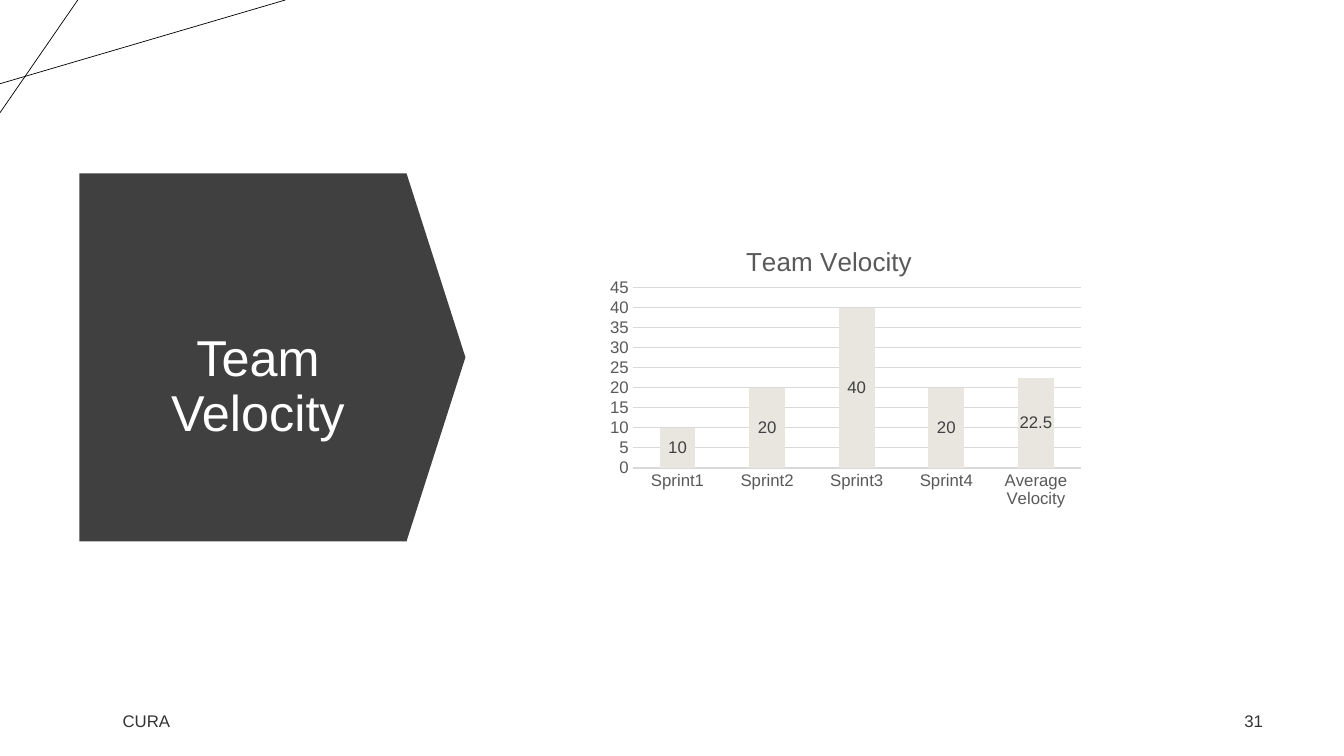
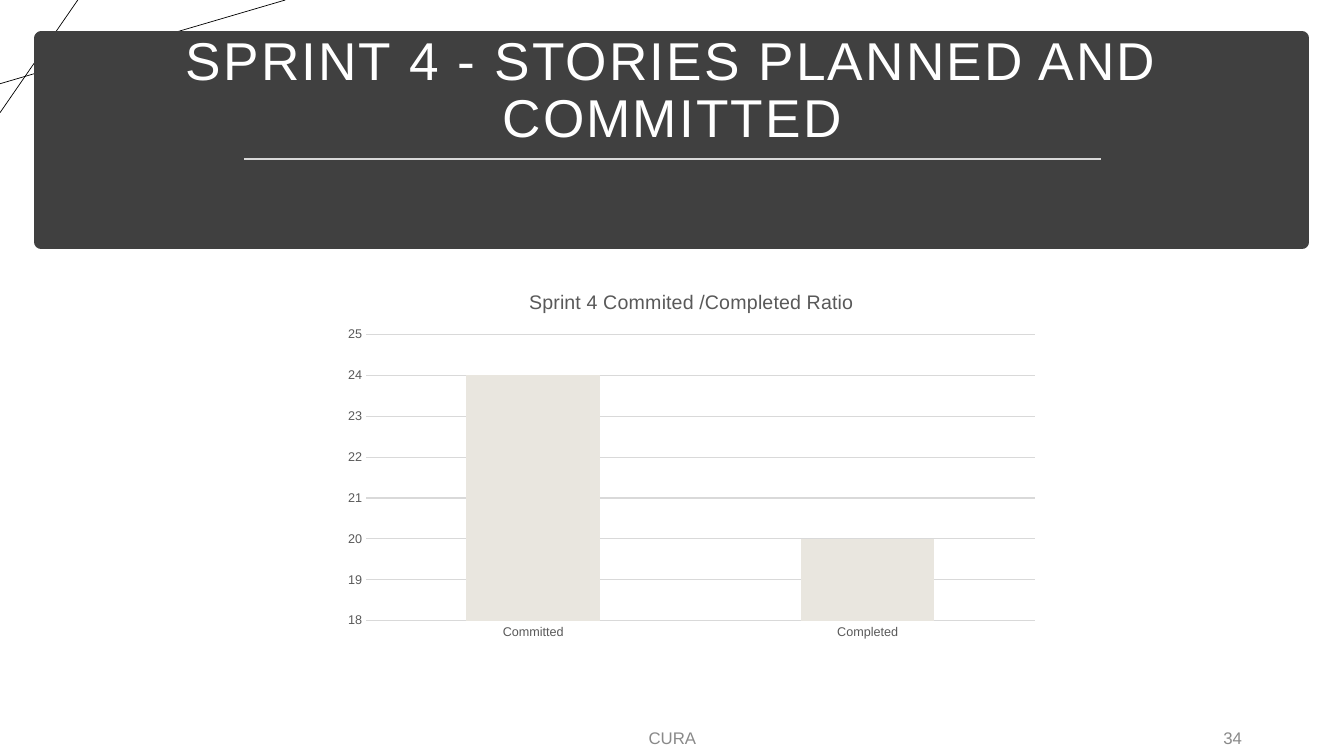
"""Build two sprint report slides with column charts."""
from dataclasses import dataclass
from typing import NamedTuple, Optional

from lxml import etree
from pptx import Presentation
from pptx.chart import data as cd
from pptx.chart.chart import Chart
from pptx.dml.color import RGBColor
from pptx.enum import chart as ch, shapes as sh, text as tx
from pptx.oxml import ns, parse_xml
from pptx.slide import Slide
from pptx.util import Cm, Pt


@dataclass(frozen=True)
class Theme:
    font: str = "Arial"
    dark: str = "404040"
    white: str = "FFFFFF"
    black: str = "000000"
    ink: str = "333333"
    mute: str = "898989"
    text: str = "595959"
    grid: str = "D9D9D9"
    bar: str = "E9E6DF"
    foot: float = 12


class Box(NamedTuple):
    left: float
    top: float
    wide: float
    high: float

    def cm(self) -> list:
        return [Cm(v) for v in self]


class Line(NamedTuple):
    x1: float
    y1: float
    x2: float
    y2: float
    hue: str
    pts: float


class Head(NamedTuple):
    text: str
    box: Box
    size: float
    anchor: tx.MSO_ANCHOR
    after: float = 0
    track: int = 0


class Note(NamedTuple):
    text: str
    box: Box
    hue: str
    align: tx.PP_ALIGN


class Plot(NamedTuple):
    left: float
    top: float
    wide: float
    high: float


@dataclass(frozen=True)
class Graph:
    title: str
    box: Box
    name: str
    cats: tuple
    vals: tuple
    low: float
    high: float
    step: float
    big: float
    small: float
    base: bool = False
    marks: bool = False
    plot: Optional[Plot] = None


T = Theme()
RAYS = (Line(0, 2.11, 7.19, 0, T.black, 0.5), Line(1.96, 0, 0, 2.84, T.black, 0.5))


def rgb(hue: str) -> RGBColor:
    return RGBColor.from_string(hue)


def style(font, size: float, hue: str) -> None:
    font.name, font.size, font.bold = T.font, Pt(size), False
    font.color.rgb = rgb(hue)


def add_line(page: Slide, line: Line) -> None:
    ends = [Cm(v) for v in line[:4]]
    item = page.shapes.add_connector(sh.MSO_CONNECTOR.STRAIGHT, *ends)
    item.line.color.rgb = rgb(line.hue)
    item.line.width = Pt(line.pts)
    etree.SubElement(item.element.spPr, ns.qn("a:effectLst"))


def add_panel(page: Slide, kind: sh.MSO_SHAPE, box: Box, edge: float = 0,
              tip: Optional[float] = None) -> None:
    item = page.shapes.add_shape(kind, *box.cm())
    item.shadow.inherit = False
    item.fill.solid()
    item.fill.fore_color.rgb = rgb(T.dark)
    if edge:
        item.line.color.rgb = rgb(T.dark)
        item.line.width = Pt(edge)
    else:
        item.line.fill.background()
    if tip is not None:
        item.adjustments[0] = tip


def add_text(frame, text: str, size: float, hue: str, align: tx.PP_ALIGN,
             anchor: tx.MSO_ANCHOR, after: float):
    frame.word_wrap = True
    frame.auto_size = tx.MSO_AUTO_SIZE.NONE
    frame.vertical_anchor = anchor
    para = frame.paragraphs[0]
    para.alignment, para.space_after = align, Pt(after)
    run = para.add_run()
    run.text = text
    style(run.font, size, hue)
    return para, run


def add_head(page: Slide, head: Head) -> None:
    item = page.shapes.title
    item.left, item.top, item.width, item.height = head.box.cm()
    para, run = add_text(item.text_frame, head.text, head.size, T.white,
                         tx.PP_ALIGN.CENTER, head.anchor, head.after)
    para.line_spacing = 0.9
    if head.track:
        run.font._element.set("spc", str(head.track))
    item.element.getparent().append(item.element)


def add_note(page: Slide, note: Note) -> None:
    frame = page.shapes.add_textbox(*note.box.cm()).text_frame
    add_text(frame, note.text, T.foot, note.hue, note.align, tx.MSO_ANCHOR.MIDDLE, 6)


def set_plot(chart: Chart, plot: Plot) -> None:
    area = chart.element.chart.plotArea
    for old in area.findall(ns.qn("c:layout")):
        area.remove(old)
    vals = "".join(f'<c:{tag} val="{val}"/>' for tag, val in zip("xywh", plot))
    area.insert(0, parse_xml(
        f'<c:layout {ns.nsdecls("c")}><c:manualLayout><c:layoutTarget val="inner"/>'
        f'<c:xMode val="edge"/><c:yMode val="edge"/>{vals}</c:manualLayout></c:layout>'))


def set_axes(chart: Chart, graph: Graph) -> None:
    cat, val = chart.category_axis, chart.value_axis
    for axis in (cat, val):
        axis.major_tick_mark = axis.minor_tick_mark = ch.XL_TICK_MARK.NONE
        style(axis.tick_labels.font, graph.small, T.text)
        axis.format.line.fill.background()
    if graph.base:
        cat.format.line.color.rgb = rgb(T.grid)
        cat.format.line.width = Pt(0.75)
    val.minimum_scale, val.maximum_scale = graph.low, graph.high
    val.major_unit = graph.step
    val.has_major_gridlines = True
    grid = val.major_gridlines.format.line
    grid.color.rgb, grid.width = rgb(T.grid), Pt(0.75)


def add_graph(page: Slide, graph: Graph) -> None:
    data = cd.CategoryChartData()
    data.categories = graph.cats
    data.add_series(graph.name, graph.vals)
    chart = page.shapes.add_chart(
        ch.XL_CHART_TYPE.COLUMN_STACKED, *graph.box.cm(), data).chart
    style(chart.font, 10, T.black)
    chart.has_legend = False
    chart.has_title = True
    run = chart.chart_title.text_frame.paragraphs[0].add_run()
    run.text = graph.title
    style(run.font, graph.big, T.text)
    chart.chart_title.include_in_layout = False
    set_axes(chart, graph)
    plot = chart.plots[0]
    plot.gap_width, plot.overlap, plot.vary_by_categories = 150, 100, False
    fill = plot.series[0].format.fill
    fill.solid()
    fill.fore_color.rgb = rgb(T.bar)
    if graph.marks:
        marks = plot.series[0].data_labels
        marks.show_value, marks.position = True, ch.XL_LABEL_POSITION.CENTER
        style(marks.font, graph.small, T.dark)
    if graph.plot:
        set_plot(chart, graph.plot)


def add_page(deck) -> Slide:
    page = deck.slides.add_slide(deck.slide_layouts[5])
    for ray in RAYS:
        add_line(page, ray)
    return page


def add_speed(deck) -> None:
    page = add_page(deck)
    add_panel(page, sh.MSO_SHAPE.PENTAGON, Box(2, 4.37, 9.73, 9.27), tip=0.16)
    add_head(page, Head("Team Velocity", Box(2.84, 6.22, 7.32, 7.09), 36,
                        tx.MSO_ANCHOR.MIDDLE, after=6))
    add_note(page, Note("CURA", Box(2.84, 17.65, 17.25, 1.02), T.ink, tx.PP_ALIGN.LEFT))
    add_note(page, Note("31", Box(30.66, 17.65, 1.42, 1.02), T.ink, tx.PP_ALIGN.RIGHT))
    cats = tuple(f"Sprint{n}" for n in range(1, 5)) + ("Average Velocity",)
    add_graph(page, Graph(
        "Team Velocity", Box(14.55, 5.74, 12.7, 7.57), "Series 1", cats,
        (10, 20, 40, 20, 22.5), 0, 45, 5, 18.6, 12, base=True, marks=True,
        plot=Plot(0.11, 0.2, 0.89, 0.6)))


def add_ratio(deck) -> None:
    page = add_page(deck)
    add_panel(page, sh.MSO_SHAPE.RECTANGLE, Box(1.04, 0.97, 31.78, 5.13), edge=10)
    add_head(page, Head("SPRINT 4 - STORIES PLANNED AND COMMITTED",
                        Box(1.47, 1.3, 30.94, 2.59), 38, tx.MSO_ANCHOR.BOTTOM, track=150))
    add_line(page, Line(6.15, 4.01, 27.74, 4.01, T.grid, 1.75))
    add_note(page, Note("CURA", Box(11.23, 18.11, 11.43, 0.97), T.mute, tx.PP_ALIGN.CENTER))
    add_note(page, Note("34", Box(23.93, 18.11, 7.62, 0.97), T.mute, tx.PP_ALIGN.RIGHT))
    name = "Sprint 4 Commited /Completed Ratio"
    add_graph(page, Graph(name, Box(8.41, 6.88, 18.03, 9.42), name,
                          ("Committed", "Completed"), (24, 20), 18, 25, 1, 14, 9))


def main() -> None:
    deck = Presentation()
    deck.slide_width, deck.slide_height = Cm(33.87), Cm(19.05)
    add_speed(deck)
    add_ratio(deck)
    deck.save("out.pptx")


if __name__ == "__main__":
    main()
